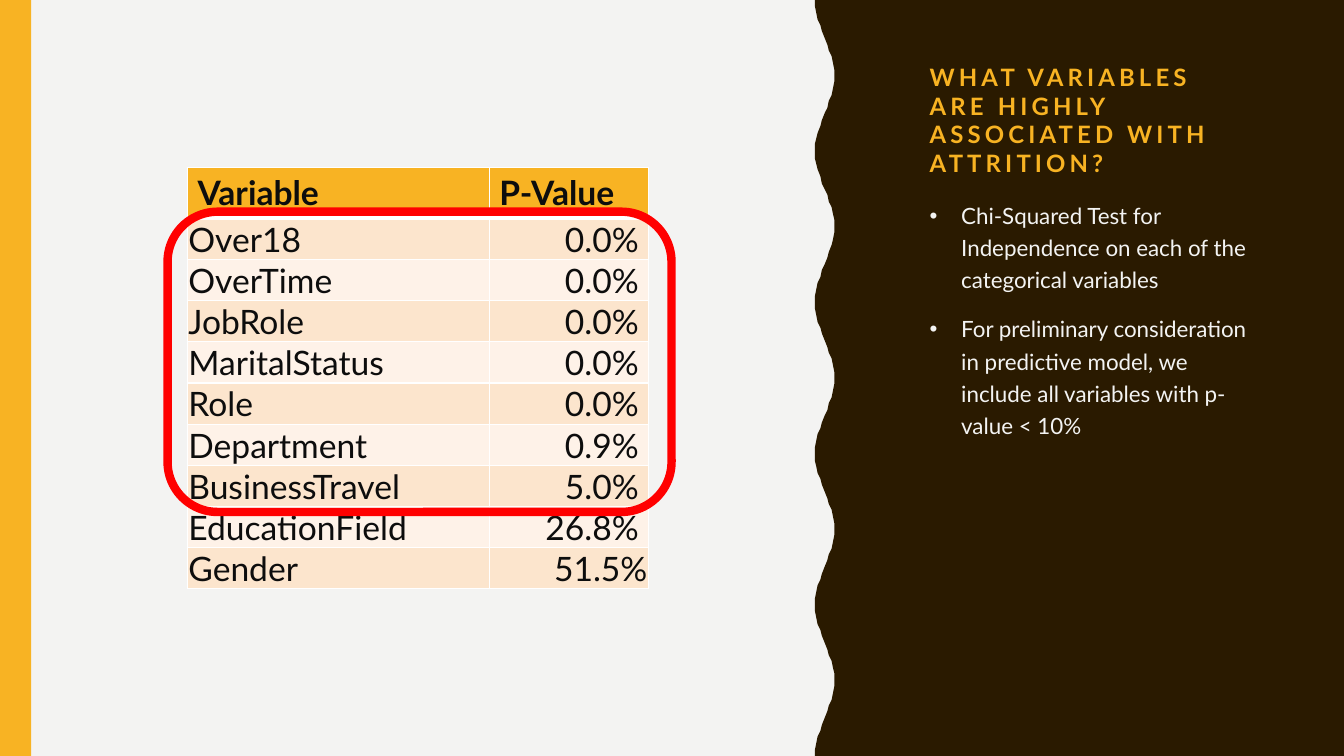
import math
import lxml.etree
import pptx
import pptx.dml.color
import pptx.enum.shapes
import pptx.enum.text
import pptx.oxml.ns
import pptx.util

Pt = pptx.util.Pt
SHAPES = pptx.enum.shapes.MSO_SHAPE
ANCHOR = pptx.enum.text.MSO_ANCHOR
ALIGN = pptx.enum.text.PP_ALIGN
GOLD, BROWN, PALE, INK, WHITE = "F8B323", "2A1A00", "F3F3F2", "0D0D0D", "FFFFFF"
BANDS = ("FCE5CD", "FEF2E8")
WIDTH, HEIGHT = 960, 540

P_VALUES = [
    ("Over18", "0.0% "), ("OverTime", "0.0% "), ("JobRole", "0.0% "),
    ("MaritalStatus", "0.0% "), ("Role", "0.0% "), ("Department", "0.9% "),
    ("BusinessTravel", "5.0% "), ("EducationField", "26.8% "), ("Gender", "51.5%"),
]


def color(value):
    return pptx.dml.color.RGBColor.from_string(value)


def add_xml(parent, tag, **attributes):
    return lxml.etree.SubElement(parent, pptx.oxml.ns.qn(tag), attributes)


def paint(shape, fill=None, line=None, weight=1):
    shape.shadow.inherit = False
    if fill:
        shape.fill.solid()
        shape.fill.fore_color.rgb = color(fill)
    else:
        shape.fill.background()
    if line:
        shape.line.color.rgb = color(line)
        shape.line.width = Pt(weight)
    else:
        shape.line.fill.background()


def write(frame, *texts, size, ink, bold=False, align=ALIGN.LEFT, anchor=ANCHOR.TOP,
          line_spacing=1.0, before=0, tracking=0, bullet_indent=0):
    """Write one paragraph per text into a text frame."""
    frame.word_wrap = True
    frame.vertical_anchor = anchor
    for index, text in enumerate(texts):
        para = frame.add_paragraph() if index else frame.paragraphs[0]
        para.alignment = align
        para.line_spacing = line_spacing
        para.space_before = Pt(before)
        span = para.add_run()
        span.text = text
        span.font.name = "Lato"
        span.font.size = Pt(size)
        span.font.bold = bold
        span.font.color.rgb = color(ink)
        if tracking:
            span.font._element.set("spc", str(tracking * 100))
        if bullet_indent:
            properties = para._p.get_or_add_pPr()
            properties.set("marL", str(Pt(bullet_indent)))
            properties.set("indent", str(-Pt(bullet_indent)))
            bullet_color = add_xml(properties, "a:buClr")
            add_xml(bullet_color, "a:srgbClr", val=ink)
            add_xml(properties, "a:buFont", typeface="Arial")
            add_xml(properties, "a:buChar", char="•")


def add_text(page, box, *texts, **text_format):
    text_box = page.shapes.add_textbox(*map(Pt, box))
    write(text_box.text_frame, *texts, **text_format)


def set_borders(cell, **weights):
    properties = cell._tc.get_or_add_tcPr()
    for side in "LRTB":
        line = add_xml(properties, f"a:ln{side}", w=str(Pt(weights.get(side, 1))))
        add_xml(add_xml(line, "a:solidFill"), "a:srgbClr", val=WHITE)


def add_stripe(page, box):
    stripe = page.shapes.add_shape(SHAPES.RECTANGLE, *map(Pt, box))
    paint(stripe, GOLD)


def add_side_panel(page, box):
    left, top, width, height = box
    # Dark panel whose left edge is five waves
    waves, depth, steps = 5, 14, 120
    edge = []
    for step in range(steps + 1):
        share = 1 - step / steps
        swing = (1 - math.cos(2 * math.pi * waves * share)) / 2
        edge.append((left + depth * swing, top + height * share))
    builder = page.shapes.build_freeform(left, top, scale=Pt(1))
    builder.add_line_segments([(left + width, top), (left + width, top + height)] + edge)
    paint(builder.convert_to_shape(), BROWN)

    # Heading and bullets
    add_text(page, (left + 75, top + 36, 243, 94.3),
             "WHAT VARIABLES ARE HIGHLY ASSOCIATED WITH ATTRITION?",
             size=17.1, ink=GOLD, bold=True, anchor=ANCHOR.BOTTOM, tracking=3)
    add_text(page, (left + 75, top + 137, 243, 327),
             "Chi-Squared Test for Independence on each of the categorical variables",
             "For preliminary consideration in predictive model, we include all "
             "variables with p-value < 10%",
             size=16, ink=PALE, line_spacing=1.2, before=12, bullet_indent=22.5)


def add_p_value_table(page, box):
    left, top, width, height = box
    header_height = 36
    row_height = (height - header_height) / len(P_VALUES)
    table = page.shapes.add_table(len(P_VALUES) + 1, 2, *map(Pt, box)).table
    for column, share in zip(table.columns, (0.655, 0.345)):
        column.width = Pt(width * share)

    # Header row
    table.rows[0].height = Pt(header_height)
    for cell, label in zip(table.rows[0].cells, ("Variable", "P-Value")):
        set_borders(cell, B=3)
        cell.fill.solid()
        cell.fill.fore_color.rgb = color(GOLD)
        write(cell.text_frame, label, size=24, ink=INK, bold=True)

    # Banded value rows
    for index, values in enumerate(P_VALUES):
        row = table.rows[index + 1]
        row.height = Pt(row_height)
        for cell, value, align in zip(row.cells, values, (ALIGN.LEFT, ALIGN.RIGHT)):
            set_borders(cell, T=1 if index else 3)
            cell.fill.solid()
            cell.fill.fore_color.rgb = color(BANDS[index % 2])
            cell.margin_left = cell.margin_right = cell.margin_top = Pt(0.6)
            cell.margin_bottom = 0
            cell.vertical_anchor = ANCHOR.MIDDLE
            write(cell.text_frame, value, size=24, ink=INK, align=align,
                  anchor=ANCHOR.MIDDLE)

    # Red frame around the variables below 10%
    frame = page.shapes.add_shape(SHAPES.ROUNDED_RECTANGLE, Pt(left - 14.3),
                                  Pt(top + 31.4), Pt(width + 31), Pt(214.5))
    paint(frame, line="FF0000", weight=6)


deck = pptx.Presentation()
deck.slide_width, deck.slide_height = Pt(WIDTH), Pt(HEIGHT)
page = deck.slides.add_slide(deck.slide_layouts[6])
page.background.fill.solid()
page.background.fill.fore_color.rgb = color(PALE)
add_side_panel(page, (582, 0, WIDTH - 582, HEIGHT))
add_stripe(page, (0, 0, 22.3, HEIGHT))
add_p_value_table(page, (134, 119.8, 329, 300))
deck.save("out.pptx")
